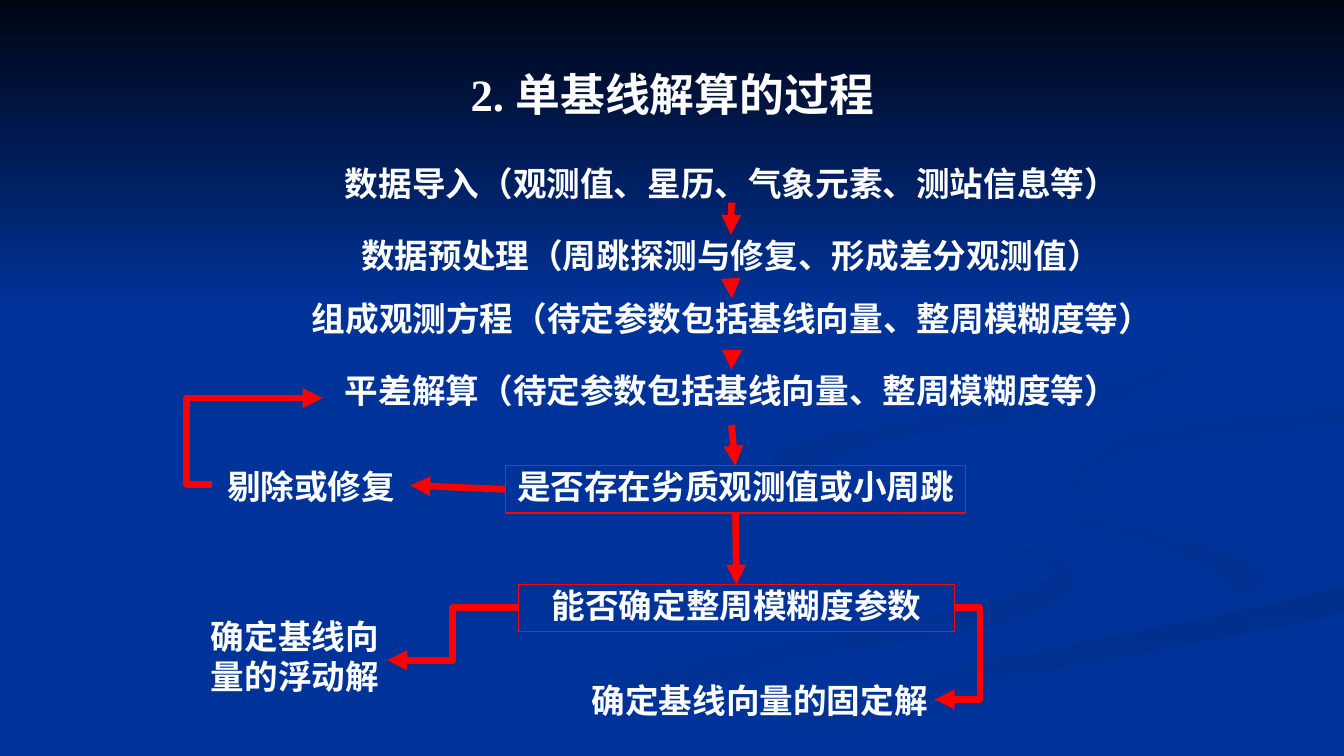
from lxml import etree
from pptx import Presentation
from pptx.dml.color import RGBColor
from pptx.enum.shapes import MSO_CONNECTOR, MSO_SHAPE
from pptx.enum.text import MSO_ANCHOR, MSO_AUTO_SIZE, PP_ALIGN
from pptx.oxml.ns import qn
from pptx.util import Inches, Pt

STRAIGHT, ELBOW = MSO_CONNECTOR.STRAIGHT, MSO_CONNECTOR.ELBOW
RECT = MSO_SHAPE.RECTANGLE
TOP_ANCHOR, MIDDLE = MSO_ANCHOR.TOP, MSO_ANCHOR.MIDDLE
NO_AUTOSIZE = MSO_AUTO_SIZE.NONE
CENTER = PP_ALIGN.CENTER
TOP, LEFT, BOTTOM, RIGHT = range(4)

FONT = "Times New Roman"
COLORS = {
    "blue": "003399", "night": "000514", "text": "FFFFFF", "red": "FF0000",
    "ribbon": "003193", "band": "002F8C", "hook": "003091", "curl": "002F8E",
}
RIBBONS = [
    ("blue", "ribbon", 0, [
        (1042, 553), (910, 519), (777, 477), (767, 459), (774, 484), (929, 525),
        (1047, 566), (933, 609), (665, 661), (400, 749), (482, 749), (752, 665),
        (1008, 614), (1066, 575)]),
    ("blue", "ribbon", 45, [
        (1257, 570), (1160, 530), (1010, 498), (965, 464), (1007, 505), (1139, 539),
        (1223, 581), (1191, 605)]),
    ("band", "blue", 90, [
        (671, 749), (762, 749), (963, 682), (1331, 609), (1331, 581), (1047, 641),
        (840, 693)]),
    ("blue", "blue", 0, [
        (966, 464), (1012, 498), (1206, 540), (1253, 583), (1039, 634), (636, 749),
        (693, 747), (928, 669), (1332, 581), (1332, 538), (1131, 503), (1042, 463),
        (1154, 424), (1332, 402), (1332, 387), (1077, 417)]),
    ("blue", "hook", 45, [
        (1042, 460), (1054, 478), (1101, 496), (1073, 472), (1145, 443), (1331, 420),
        (1331, 402), (1095, 434)]),
    ("curl", "blue", 45, [
        (911, 430), (1099, 402), (1191, 344), (1152, 291), (1017, 233), (1159, 299),
        (1176, 354), (978, 404), (786, 441), (774, 474), (829, 500), (791, 470)]),
]


def rgb(name):
    """Return the palette colour called name."""
    return RGBColor.from_string(COLORS[name])


def smooth_outline(points, steps=5):
    """Return a closed smooth curve through points, kept on the slide."""
    curve = []
    for i, b in enumerate(points):
        a, c, d = (points[(i + k) % len(points)] for k in (-1, 1, 2))
        for t in (k / steps for k in range(steps)):
            x, y = (
                q + t * ((r - o) + t * ((2 * o - 5 * q + 4 * r - u)
                                        + t * (3 * q - o - 3 * r + u))) / 2
                for o, q, r, u in zip(a, b, c, d))
            curve.append((min(x, 1333), min(y, 750)))
    return curve


def shade(sp, start, end, angle):
    """Fill a borderless shape with a clockwise-angled gradient."""
    sp.shadow.inherit = False
    sp.line.fill.background()
    sp.fill.gradient()
    sp.fill.gradient_angle = -angle % 360
    for stop, name in zip(sp.fill.gradient_stops, (start, end)):
        stop.color.rgb = rgb(name)


def add_backdrop(s, width, height):
    """Draw the blue ground, its ribbons and the dark sky of the given size."""
    s.background.fill.solid()
    s.background.fill.fore_color.rgb = rgb("blue")
    for start, end, angle, points in RIBBONS:
        first, *rest = smooth_outline(points)
        builder = s.shapes.build_freeform(*first, scale=Inches(0.01))
        builder.add_line_segments(rest, close=True)
        shade(builder.convert_to_shape(), start, end, angle)
    sky = s.shapes.add_shape(RECT, 0, 0, Inches(width), Inches(height))
    shade(sky, "night", "blue", 90)


def add_label(s, box, lines, size=24, anchor=TOP_ANCHOR, framed=False):
    """Place centred bold lines in box, with a red frame if framed."""
    place = [Inches(v) for v in box]
    if framed:
        sp = s.shapes.add_shape(RECT, *place)
        sp.shadow.inherit = False
        sp.fill.background()
        sp.line.color.rgb = rgb("red")
        sp.line.width = Pt(0.75)
    else:
        sp = s.shapes.add_textbox(*place)
    tf = sp.text_frame
    tf.word_wrap = True
    tf.auto_size = NO_AUTOSIZE
    tf.vertical_anchor = anchor
    tf.margin_left = tf.margin_top = tf.margin_right = tf.margin_bottom = 0
    for i, line in enumerate(lines):
        p = tf.add_paragraph() if i else tf.paragraphs[0]
        p.alignment = CENTER
        r = p.add_run()
        r.text = line
        r.font.name = FONT
        r.font.size = Pt(size)
        r.font.bold = True
        r.font.color.rgb = rgb("text")
    return sp


def add_arrow(s, kind, start=(0, 0), end=(0, 0)):
    """Add a thick red arrow from start to end."""
    c = s.shapes.add_connector(kind, *[Inches(v) for v in (*start, *end)])
    c.line.color.rgb = rgb("red")
    c.line.width = Pt(4.75)
    props = c.element.spPr
    etree.SubElement(props.find(qn("a:ln")), qn("a:tailEnd"), type="triangle")
    etree.SubElement(props, qn("a:effectLst"))
    return c


def add_link(s, source, source_side, target, target_side):
    """Join two labels with a straight arrow."""
    c = add_arrow(s, STRAIGHT)
    c.begin_connect(source, source_side)
    c.end_connect(target, target_side)


def add_bend(s, start, end, turn):
    """Add an elbow arrow whose upright part stands at x = turn."""
    c = add_arrow(s, ELBOW, start, end)
    ratio = (turn - start[0]) / (end[0] - start[0])
    guides = c.element.spPr.find(qn("a:prstGeom")).get_or_add_avLst()
    etree.SubElement(guides, qn("a:gd"), name="adj1",
                     fmla=f"val {round(ratio * 100000)}")


def add_flow(s, x, y):
    """Draw the solution flowchart with its top left corner at x, y."""
    def label(dx, dy, w, h, *lines, framed=False):
        """Place a label relative to the flowchart."""
        return add_label(s, (x + dx, y + dy, w, h), lines, framed=framed)

    def bend(start, end, turn):
        """Add an elbow arrow relative to the flowchart."""
        add_bend(s, (x + start[0], y + start[1]), (x + end[0], y + end[1]), x + turn)

    steps = [
        label(1.27, 0, 8.27, 0.39, "数据导入（观测值、星历、气象元素、测站信息等）"),
        label(1.5, 0.71, 7.8, 0.47, "数据预处理（周跳探测与修复、形成差分观测值）"),
        label(0.96, 1.34, 8.9, 0.55, "组成观测方程（待定参数包括基线向量、整周模糊度等）"),
        label(1.35, 2.05, 8.11, 0.55, "平差解算（待定参数包括基线向量、整周模糊度等）"),
        label(3.16, 3, 4.57, 0.47, "是否存在劣质观测值或小周跳", framed=True),
    ]
    repair = label(0.25, 3, 1.97, 0.39, "剔除或修复")
    steps.append(label(3.29, 4.18, 4.33, 0.47, "能否确定整周模糊度参数", framed=True))
    label(3.95, 5.12, 3.47, 0.39, "确定基线向量的固定解")
    label(0.17, 4.49, 1.81, 0.87, "确定基线向", "量的浮动解")

    for source, target in zip(steps, steps[1:]):
        add_link(s, source, BOTTOM, target, TOP)
    add_link(s, steps[4], LEFT, repair, RIGHT)
    bend((0.25, 3.19), (1.35, 2.33), 0)
    bend((7.62, 4.41), (7.42, 5.32), 7.87)
    bend((3.29, 4.41), (1.99, 4.93), 2.64)


def main():
    """Build the slide and save it."""
    prs = Presentation()
    prs.slide_width, prs.slide_height = Inches(13.33), Inches(7.5)
    s = prs.slides.add_slide(prs.slide_layouts[6])
    add_backdrop(s, 13.33, 3.08)
    add_label(s, (0.67, 0.3, 12, 1.25), ["2. 单基线解算的过程"], 32, MIDDLE)
    add_flow(s, 1.85, 1.62)
    prs.save("out.pptx")


if __name__ == "__main__":
    main()
